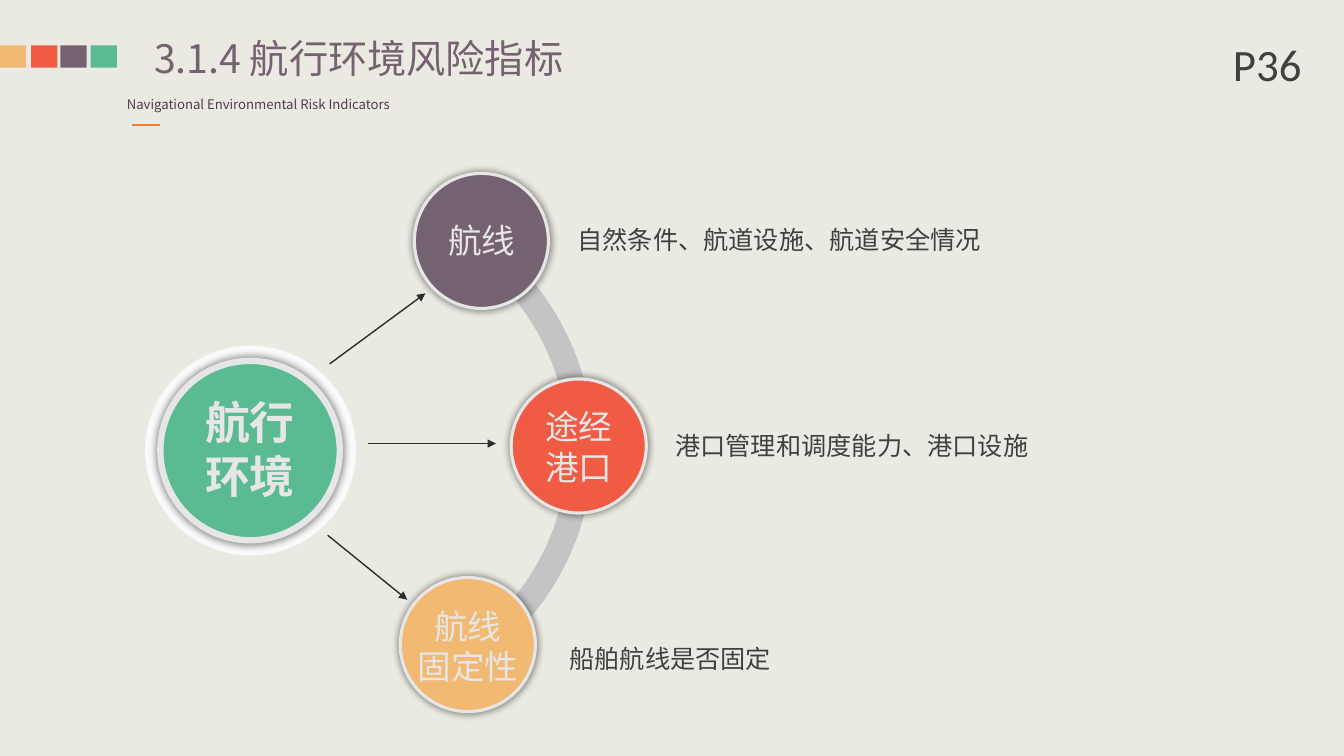
from lxml.etree import SubElement
from pptx import Presentation
from pptx.dml.color import RGBColor
from pptx.enum.shapes import MSO_CONNECTOR as Link, MSO_SHAPE as Kind
from pptx.enum.text import MSO_AUTO_SIZE as Fit, PP_ALIGN as Align
from pptx.oxml.ns import qn
from pptx.util import Emu, Pt

PX = 9144
SANS = "Noto Sans CJK SC"
PLUM, RED, GREEN, GOLD = "756271", "EF5B43", "5ABB93", "F2B973"
PALE, DARK, INK = "E7E6E6", "404040", "2E2C2C"


def px(*sizes):
    return [Emu(size * PX) for size in sizes]


def paint(fill, color):
    fill.solid()
    fill.fore_color.rgb = RGBColor.from_string(color)


def shade(shape):
    effects = shape._element.spPr.find(qn("a:effectLst"))
    outer = SubElement(effects, qn("a:outerShdw"), blurRad=str(Pt(5)), sx="102000",
                       sy="102000", algn="ctr", rotWithShape="0")
    black = SubElement(outer, qn("a:srgbClr"), val="000000")
    SubElement(black, qn("a:alpha"), val="40000")


def style(shape, color, edge=0):
    shape.shadow.inherit = False
    paint(shape.fill, color)
    if edge:
        paint(shape.line.fill, PALE)
        shape.line.width = Pt(edge)
        shade(shape)
    else:
        shape.line.fill.background()


def block(slide, kind, box, color, edge=0):
    style(slide.shapes.add_shape(kind, *px(*box)), color, edge)


def write(slide, text, box, size=18, color=DARK, font=SANS, bold=False,
          align=None, wrap=True, inset=True):
    frame = slide.shapes.add_textbox(*px(*box)).text_frame
    frame.word_wrap = wrap
    frame.auto_size = Fit.SHAPE_TO_FIT_TEXT
    if not inset:
        frame.margin_left = frame.margin_right = 0
        frame.margin_top = frame.margin_bottom = 0
    frame.text = text
    for para in frame.paragraphs:
        para.alignment = align
        for run in para.runs:
            run.font.size = Pt(size)
            run.font.bold = bold
            run.font.name = font
            paint(run.font.fill, color)
            SubElement(run._r.rPr, qn("a:ea"), typeface=font)


def rule(slide, ends, color, width, tip=False):
    line = slide.shapes.add_connector(Link.STRAIGHT, *px(*ends))
    paint(line.line.fill, color)
    line.line.width = Pt(width)
    if tip:
        SubElement(line.line._ln, qn("a:headEnd"), type="triangle")
    SubElement(line._element.spPr, qn("a:effectLst"))


def bend(trail, steps):
    curve = SubElement(trail, qn("a:cubicBezTo"))
    steps[0].addprevious(curve)
    for step in steps:
        curve.append(step[0])
        trail.remove(step)


def arc(slide, inner, outer, color):
    maker = slide.shapes.build_freeform(*inner[0], scale=PX)
    maker.add_line_segments(inner[1:] + outer, close=True)
    shape = maker.convert_to_shape()
    trail = next(shape._element.iter(qn("a:path")))
    steps = trail.findall(qn("a:lnTo"))
    for first in (0, 3, 7, 10):
        bend(trail, steps[first:first + 3])
    style(shape, color)


def header(slide):
    for left, color in ((0, GOLD), (31, RED), (60, PLUM), (90, GREEN)):
        block(slide, Kind.RECTANGLE, (left, 45, 26, 22), color)
    write(slide, "Navigational Environmental Risk Indicators", (116, 91, 289, 26),
          size=9.4, color="543C4F", wrap=False)
    rule(slide, (131, 124, 159, 124), "ED7D31", 1.5)
    write(slide, "3.1.4 航行环境风险指标", (153, 34, 420, 47), size=28, color=PLUM, inset=False)
    write(slide, "P36", (1213, 32, 92, 64), size=32, font="Calibri")


def factor(slide, disc, color, name, label, note, place):
    block(slide, Kind.OVAL, disc, color, 2.25)
    write(slide, name, label, size=24, color=PALE, align=Align.CENTER)
    write(slide, note, place, align=Align.JUSTIFY)


def main():
    deck = Presentation()
    deck.slide_width, deck.slide_height = px(1333, 750)
    slide = deck.slides.add_slide(deck.slide_layouts[6])
    paint(slide.background.fill, "EBEAE2")
    header(slide)

    inner = [(447, 242), (516, 283), (563, 358), (563, 444), (563, 529), (518, 603), (451, 644)]
    outer = [(463, 666), (538, 621), (588, 538), (588, 444), (588, 349), (536, 265), (459, 220)]
    arc(slide, inner, outer, "C5C3C3")
    for ends in ((422, 291, 327, 361), (492, 440, 365, 440), (404, 595, 325, 531)):
        rule(slide, ends, INK, 1, tip=True)

    factor(slide, (411, 172, 133, 134), PLUM, "航线", (430, 213, 96, 50),
           "自然条件、航道设施、航道安全情况", (563, 218, 704, 40))
    factor(slide, (507, 376, 134, 133), RED, "途经港口", (526, 398, 96, 91),
           "港口管理和调度能力、港口设施", (660, 422, 482, 40))
    factor(slide, (397, 573, 134, 133), GOLD, "航线\n固定性", (400, 596, 128, 91),
           "船舶航线是否固定", (555, 633, 663, 40))

    block(slide, Kind.OVAL, (144, 343, 209, 208), "FAFAFA")
    block(slide, Kind.OVAL, (159, 358, 178, 178), GREEN, 4.5)
    write(slide, "航行环境", (191, 387, 114, 118), size=32, color=PALE, bold=True,
          align=Align.CENTER)
    deck.save("out.pptx")


if __name__ == "__main__":
    main()
